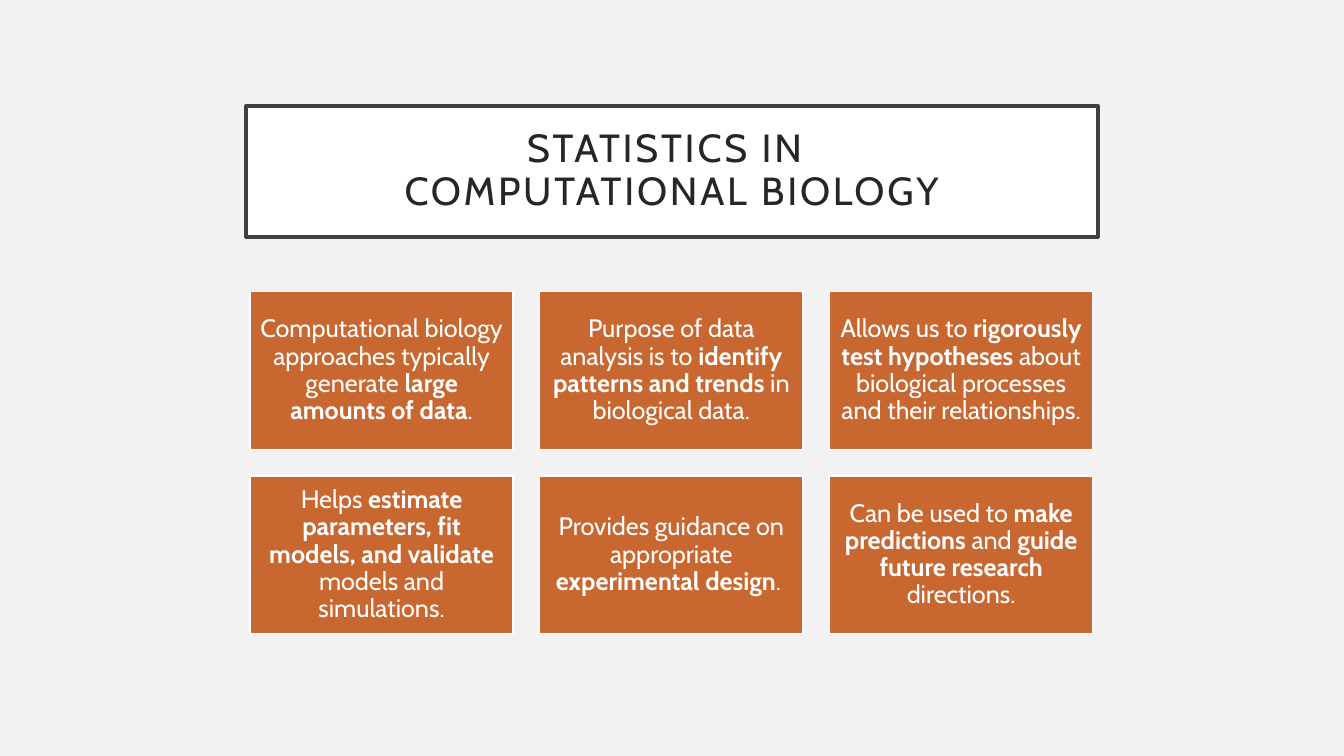
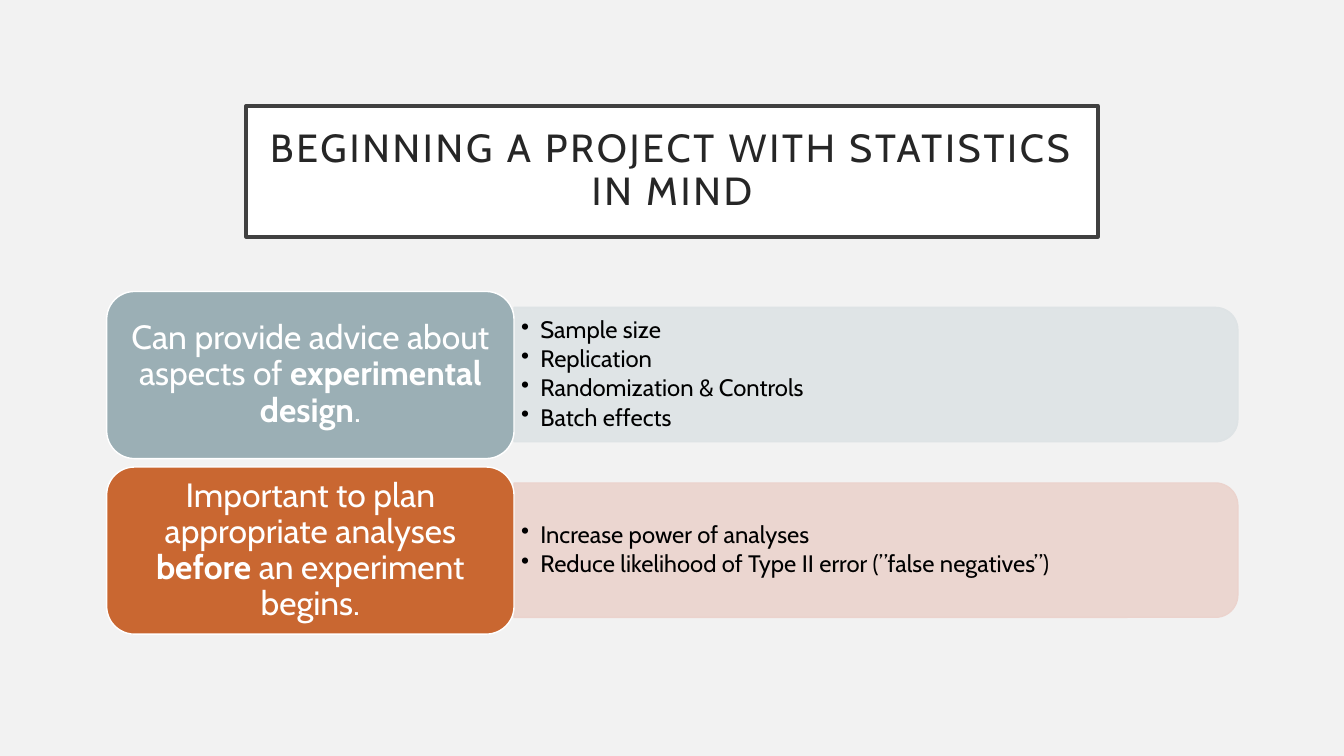
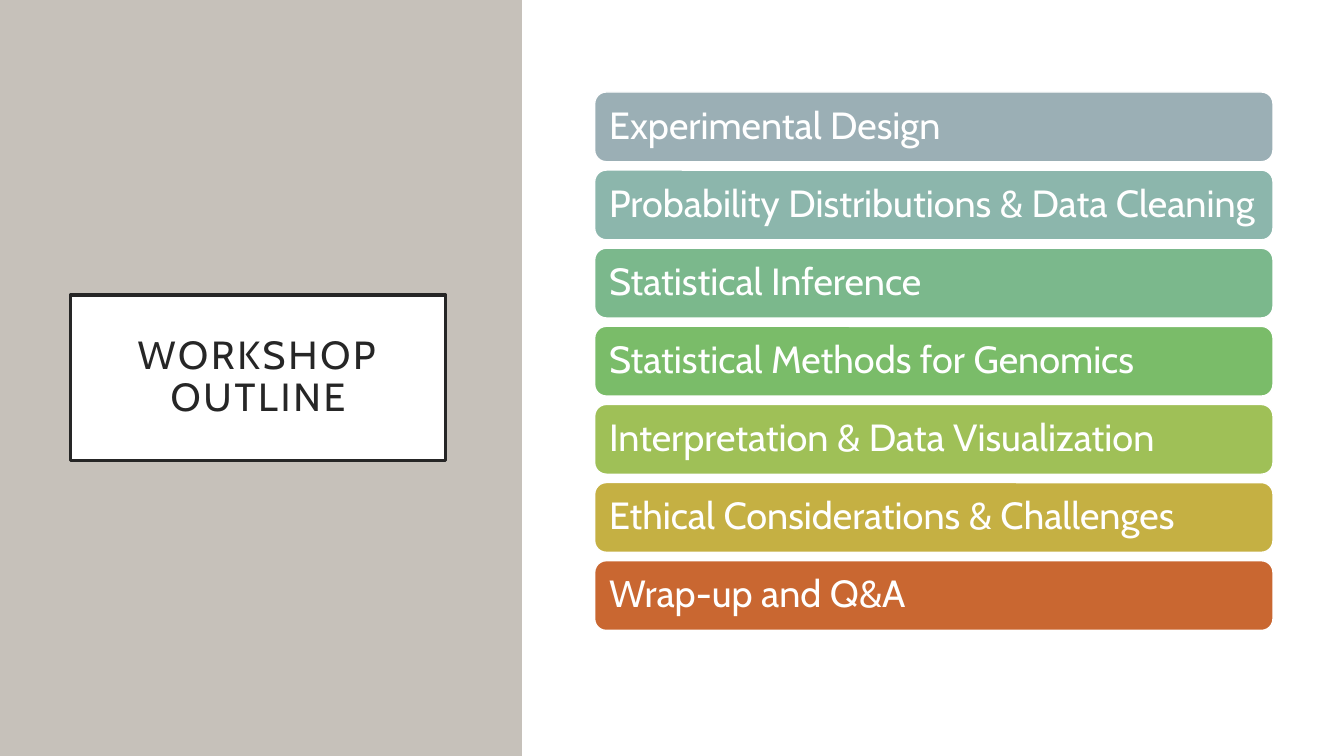
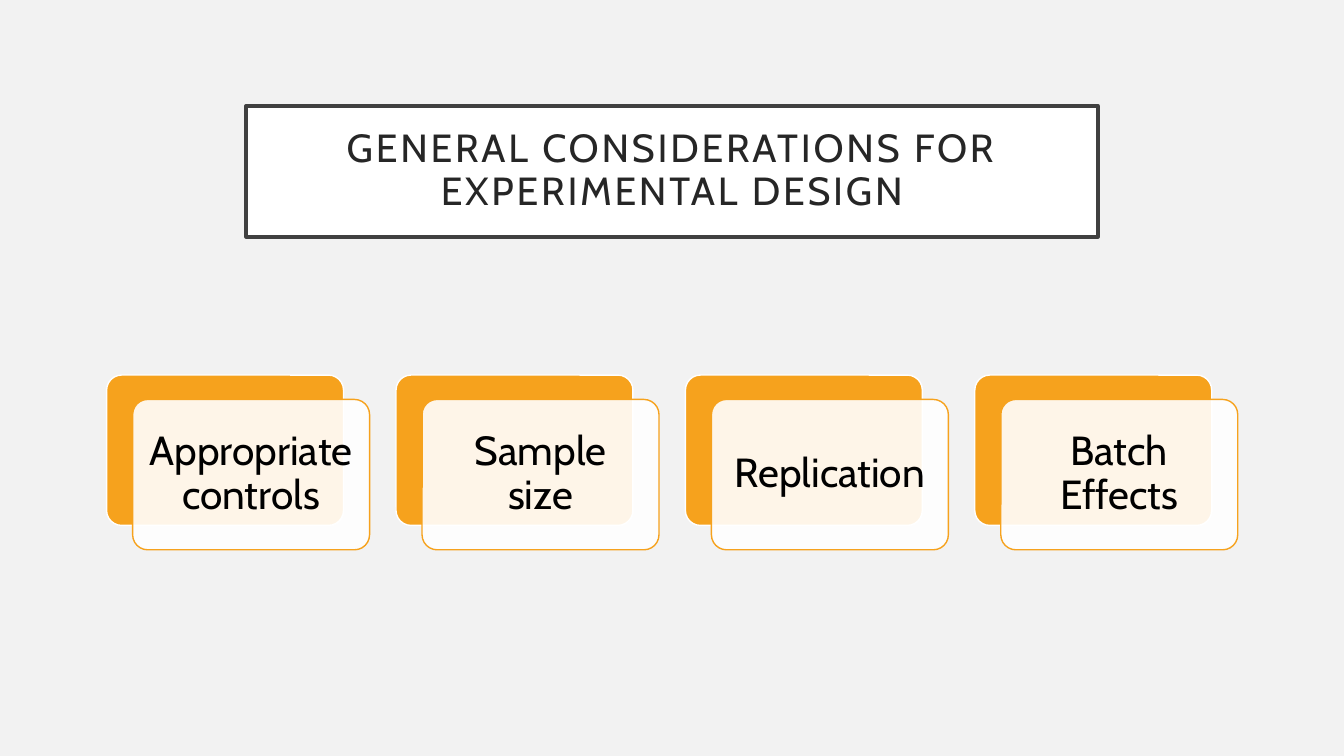
from pptx import Presentation
from pptx.dml.color import RGBColor
from pptx.enum.shapes import MSO_SHAPE as Form
from pptx.enum.text import MSO_ANCHOR as Anchor, PP_ALIGN as Align
from pptx.oxml.ns import qn
from pptx.util import Inches, Pt
from lxml.etree import SubElement

COLUMNS, ROWS = 32, 18
WHITE, BLACK, INK = "FFFFFF", "000000", "262626"
SMOKE, FRAME, STONE = "F2F2F2", "404040", "C6C1BA"
RUST, SLATE, AMBER = "C96731", "9BAFB5", "F6A21D"


def color(code):
    return RGBColor.from_string(code)


class Deck:
    font = "Cabin"
    spacing = 0.9

    def __init__(self):
        self.file = Presentation()
        self.file.slide_width = Inches(13.33)
        self.file.slide_height = Inches(7.5)
        self.column = self.file.slide_width / COLUMNS
        self.row = self.file.slide_height / ROWS
        self.page = None

    def add_page(self, background=SMOKE):
        self.page = self.file.slides.add_slide(self.file.slide_layouts[6])
        fill = self.page.background.fill
        fill.solid()
        fill.fore_color.rgb = color(background)

    def place(self, x, y, width, height):
        return (round(x * self.column), round(y * self.row),
                round(width * self.column), round(height * self.row))

    def shape(self, form, area, fill, line=None, weight=1, opacity=100, corner=None):
        box = self.page.shapes.add_shape(form, *self.place(*area))
        box.shadow.inherit = False
        box.fill.solid()
        box.fill.fore_color.rgb = color(fill)
        if opacity < 100:
            tint = box.element.spPr.find(".//" + qn("a:srgbClr"))
            SubElement(tint, qn("a:alpha")).set("val", str(opacity * 1000))
        if line:
            box.line.color.rgb = color(line)
            box.line.width = Pt(weight)
        else:
            box.line.fill.background()
        if corner is not None:
            box.adjustments[0] = corner
        return box

    def put_text(self, box, lines, size, ink=WHITE, align=Align.CENTER, inset=(0.1, 0.05)):
        frame = box.text_frame
        frame.word_wrap = True
        frame.vertical_anchor = Anchor.MIDDLE
        frame.margin_left = frame.margin_right = Inches(inset[0])
        frame.margin_top = frame.margin_bottom = Inches(inset[1])
        for index, line in enumerate(lines):
            para = frame.add_paragraph() if index else frame.paragraphs[0]
            para.alignment = align
            para.line_spacing = self.spacing
            if "*" in line:
                for part, words in enumerate(line.split("*")):
                    span = para.add_run()
                    span.text = words
                    span.font.bold = part % 2 == 1
            else:
                para.text = line
            for span in para.runs:
                span.font.name = self.font
                span.font.size = Pt(size)
                span.font.color.rgb = color(ink)
        return frame.paragraphs

    def title(self, text, area=(5.86, 2.52, 20.28, 3.12), line=FRAME):
        box = self.shape(Form.RECTANGLE, area, WHITE, line, 2.5)
        for para in self.put_text(box, [text], 28, INK, inset=(0.2, 0.2)):
            for span in para.runs:
                span.font._element.set("spc", "200")

    def card(self, text, area):
        box = self.shape(Form.RECTANGLE, area, RUST, WHITE)
        self.put_text(box, [text], 18, inset=(0.07, 0.07))

    def label(self, text, area, fill):
        box = self.shape(Form.ROUNDED_RECTANGLE, area, fill, WHITE)
        self.put_text(box, [text], 24)

    def bar(self, text, area, fill):
        box = self.shape(Form.ROUNDED_RECTANGLE, area, fill, WHITE)
        self.put_text(box, [text], 27, align=Align.LEFT, inset=(0.11, 0.11))

    def details(self, lines, area, fill):
        x, y, width, height = area
        upright = (x + (width - height) / 2, y + (height - width) / 2, height, width)
        panel = self.shape(Form.ROUND_2_SAME_RECTANGLE, upright, fill, fill, opacity=90)
        panel.rotation = 90
        box = self.page.shapes.add_textbox(*self.place(*area))
        for para in self.put_text(box, lines, 17, BLACK, Align.LEFT, (0.07, 0.04)):
            para.space_after = Pt(2.5)
            properties = para._p.get_or_add_pPr()
            properties.set("marL", str(Inches(0.19)))
            properties.set("indent", str(-Inches(0.19)))
            SubElement(properties, qn("a:buChar")).set("char", "•")

    def layered_card(self, text, area):
        x, y, width, height = area
        self.shape(Form.ROUNDED_RECTANGLE, area, AMBER, WHITE, corner=0.1)
        front = (x + 0.62, y + 0.58, width, height)
        box = self.shape(Form.ROUNDED_RECTANGLE, front, WHITE, AMBER, opacity=90, corner=0.1)
        self.put_text(box, [text], 29, BLACK, inset=(0.12, 0.12))


def statistics_page(deck):
    deck.add_page()
    deck.title("STATISTICS IN \vCOMPUTATIONAL BIOLOGY")
    cards = [
        "Computational biology approaches typically generate *large amounts of data*.",
        "Purpose of data analysis is to *identify patterns and trends *in biological data.",
        "Allows us to *rigorously test hypotheses *about biological processes and their relationships.",
        "Helps *estimate parameters, fit models, and validate* models and simulations.",
        "Provides guidance on appropriate *experimental design*. ",
        "Can be used to *make predictions *and *guide future research *directions.",
    ]
    for index, text in enumerate(cards):
        row, column = divmod(index, 3)
        deck.card(text, (5.95 + 6.9 * column, 6.94 + 4.39 * row, 6.27, 3.76))


def planning_page(deck):
    deck.add_page()
    deck.title("BEGINNING A PROJECT WITH STATISTICS IN MIND")
    groups = [
        ("Can provide advice about aspects of *experimental design*.", SLATE, "DEE3E5",
         ["Sample size", "Replication", "Randomization & Controls", "Batch effects"]),
        ("Important to plan appropriate analyses *before* an experiment begins.", RUST, "EBD3CD",
         ["Increase power of analyses",
          "Reduce likelihood of Type II error (”false negatives”)"]),
    ]
    for index, (text, fill, tint, lines) in enumerate(groups):
        top = 6.94 + 4.18 * index
        deck.details(lines, (12.24, top + 0.38, 17.23, 3.2), tint)
        deck.label(text, (2.54, top, 9.7, 3.98), fill)


def outline_page(deck):
    deck.add_page(WHITE)
    deck.shape(Form.RECTANGLE, (0, 0, 12.43, ROWS), STONE)
    deck.title("WORKSHOP OUTLINE", (1.68, 7.03, 8.93, 3.94), INK)
    topics = [
        ("Experimental Design", SLATE),
        ("Probability Distributions & Data Cleaning", "8CB6AC"),
        ("Statistical Inference", "7BB88C"),
        ("Statistical Methods for Genomics", "7ABC69"),
        ("Interpretation & Data Visualization", "9FC057"),
        ("Ethical Considerations & Challenges", "C5B043"),
        ("Wrap-up and Q&A", RUST),
    ]
    for index, (text, fill) in enumerate(topics):
        deck.bar(text, (14.16, 2.19 + 1.86 * index, 16.15, 1.66), fill)


def design_page(deck):
    deck.add_page()
    deck.title("GENERAL CONSIDERATIONS FOR\vEXPERIMENTAL DESIGN")
    topics = ["Appropriate controls", "Sample size", "Replication", "Batch Effects"]
    for index, text in enumerate(topics):
        deck.layered_card(text, (2.54 + 6.89 * index, 8.93, 5.64, 3.58))


def main():
    deck = Deck()
    for build in (statistics_page, planning_page, outline_page, design_page):
        build(deck)
    deck.file.save("out.pptx")


if __name__ == "__main__":
    main()
